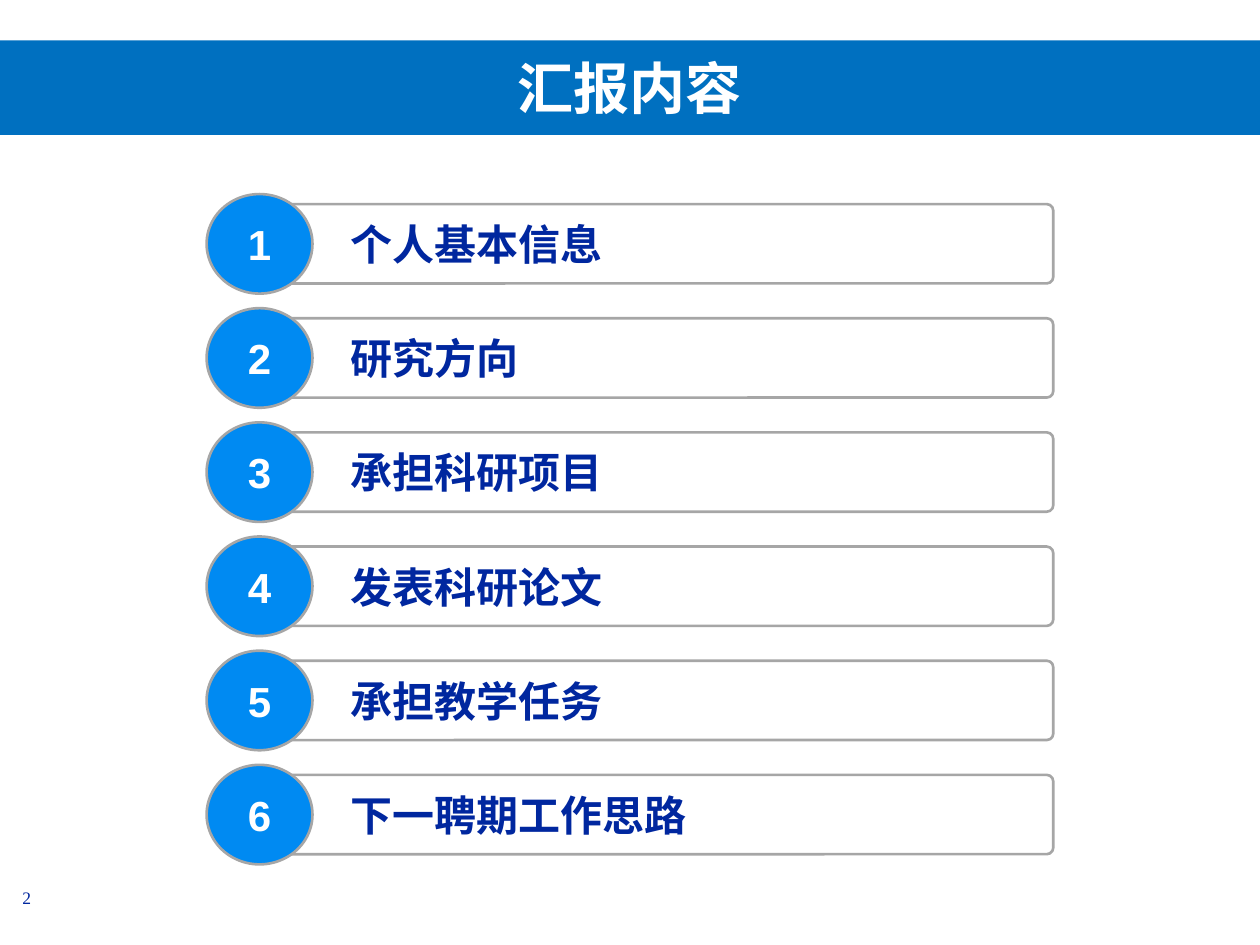
import pptx
import pptx.util
import pptx.dml.color
import pptx.enum.shapes
import pptx.enum.text
import pptx.oxml.ns
import lxml.etree

Inches, Pt = pptx.util.Inches, pptx.util.Pt
SHAPE = pptx.enum.shapes.MSO_SHAPE
ALIGN = pptx.enum.text.PP_ALIGN
ANCHOR = pptx.enum.text.MSO_ANCHOR
qn = pptx.oxml.ns.qn

COLORS = {"banner": "0070C0", "circle": "008AF2", "outline": "A6A6A6",
          "ink": "00279F", "white": "FFFFFF"}
CJK = "Noto Sans CJK SC"
TOPICS = ["个人基本信息", "研究方向", "承担科研项目",
          "发表科研论文", "承担教学任务", "下一聘期工作思路"]


def rgb(name):
    return pptx.dml.color.RGBColor.from_string(COLORS[name])


def style(p, size, color, font, bold=True, align=ALIGN.LEFT):
    p.alignment = align
    f = p.font
    f.size, f.bold, f.name = Pt(size), bold, font
    f.color.rgb = rgb(color)
    if font == CJK:
        ea = lxml.etree.Element(qn("a:ea"), typeface=font)
        p._p.pPr.find(qn("a:defRPr")).find(qn("a:latin")).addnext(ea)


def add_banner(s, x, y, w, h):
    title = s.shapes.title
    title.left, title.top, title.width, title.height = map(Inches, (x, y, w, h))
    title.fill.solid()
    title.fill.fore_color.rgb = rgb("banner")
    tf = title.text_frame
    tf.text = "汇报内容"
    tf.vertical_anchor = ANCHOR.MIDDLE
    style(tf.paragraphs[0], 32, "white", CJK, align=ALIGN.CENTER)


def add_outlined(shapes, kind, x, y, w, h, text):
    sp = shapes.add_shape(kind, *map(Inches, (x, y, w, h)))
    sp.shadow.inherit = False
    sp.fill.background()
    sp.line.color.rgb = rgb("outline")
    sp.line.width = Pt(1.5)
    tf = sp.text_frame
    tf.text = text
    tf.word_wrap = False
    tf.vertical_anchor = ANCHOR.MIDDLE
    return sp


def add_topic(s, x, y, w, h, number, text):
    row = s.shapes.add_group_shape().shapes
    # Bar starts under the middle of the circle
    bar = add_outlined(row, SHAPE.ROUNDED_RECTANGLE,
                       x + 0.42, y + 0.08, w - 0.42, h - 0.16, text)
    bar.adjustments[0] = 0.082
    bar.text_frame.margin_left = Inches(0.71)
    style(bar.text_frame.paragraphs[0], 24, "ink", CJK)
    # Numbered circle
    circle = add_outlined(row, SHAPE.OVAL, x, y, 0.84, h, str(number))
    circle.fill.solid()
    circle.fill.fore_color.rgb = rgb("circle")
    style(circle.text_frame.paragraphs[0], 24, "white", "Arial",
          align=ALIGN.CENTER)


def add_agenda(s, x, y, w, h):
    row_h = 0.79
    step = (h - row_h) / (len(TOPICS) - 1)
    for i, text in enumerate(TOPICS):
        add_topic(s, x, y + i * step, w, row_h, i + 1, text)


def add_page_number(s, x, y, w, h):
    tf = s.shapes.add_textbox(*map(Inches, (x, y, w, h))).text_frame
    tf.word_wrap = True
    p = tf.paragraphs[0]
    style(p, 10, "ink", "Times New Roman", bold=False)
    # Slide number field
    fld = lxml.etree.SubElement(p._p, qn("a:fld"), type="slidenum",
                                id="{B6F15528-21DE-4FAA-801E-634DDDAF4B2B}")
    lxml.etree.SubElement(fld, qn("a:rPr"), lang="en-US")
    lxml.etree.SubElement(fld, qn("a:t")).text = "2"


prs = pptx.Presentation()
prs.slide_width, prs.slide_height = Inches(10), Inches(7.5)
# The deck counts from 2 so that this slide shows its number
prs.element.set("firstSlideNum", "2")
s = prs.slides.add_slide(prs.slide_layouts[5])
add_banner(s, 0, 0.32, 10, 0.75)
add_agenda(s, 1.64, 1.54, 6.72, 5.32)
add_page_number(s, 0.08, 6.99, 0.74, 0.27)
prs.save("out.pptx")
